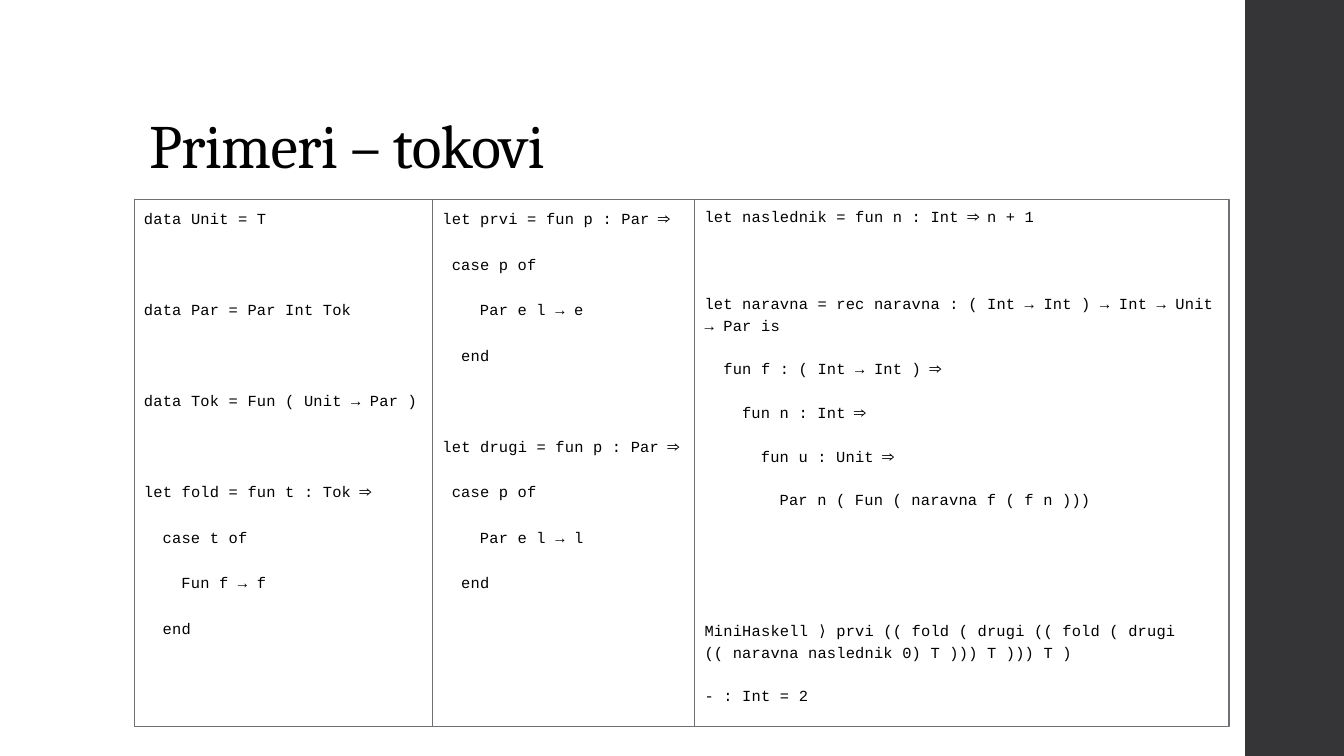
from pptx import Presentation
from pptx.dml.color import RGBColor
from pptx.enum.shapes import MSO_SHAPE
from pptx.enum.text import MSO_ANCHOR, PP_ALIGN
from pptx.util import Inches, Pt

RECTANGLE = MSO_SHAPE.RECTANGLE
TOP = MSO_ANCHOR.TOP
BOTTOM = MSO_ANCHOR.BOTTOM
LEFT = PP_ALIGN.LEFT

BLACK = RGBColor(0x00, 0x00, 0x00)
SIDEBAR_GREY = RGBColor(0x35, 0x35, 0x37)
BORDER_GREY = RGBColor(0x6F, 0x6F, 0x74)

TYPES_CODE = """data Unit = T

data Par = Par Int Tok

data Tok = Fun ( Unit → Par )

let fold = fun t : Tok ⇒
  case t of
    Fun f → f
  end"""

PAIR_CODE = """let prvi = fun p : Par ⇒
 case p of
    Par e l → e
  end

let drugi = fun p : Par ⇒
 case p of
    Par e l → l
  end"""

NATURALS_CODE = """let naslednik = fun n : Int ⇒ n + 1

let naravna = rec naravna : ( Int → Int ) → Int → Unit → Par is
  fun f : ( Int → Int ) ⇒
    fun n : Int ⇒
      fun u : Unit ⇒
        Par n ( Fun ( naravna f ( f n )))


MiniHaskell ⟩ prvi (( fold ( drugi (( fold ( drugi (( naravna naslednik 0) T ))) T ))) T )
- : Int = 2"""


class SlideBuilder:
    title_font = "Cambria"
    code_font = "Courier New"
    code_size = 11
    character_width = 6.7
    line_height = 13.2
    space_before = 14
    space_after = 2

    def __init__(self, slide):
        self.slide = slide

    def style_run(self, run, font_name, size, spacing):
        run.font.name = font_name
        run.font.size = Pt(size)
        run.font.color.rgb = BLACK
        run.font._element.set("spc", str(round(spacing * 100)))

    def rectangle(self, left, top, width, height, fill=None, line=None):
        shape = self.slide.shapes.add_shape(
            RECTANGLE, Inches(left), Inches(top), Inches(width), Inches(height))
        shape.shadow.inherit = False
        if fill is None:
            shape.fill.background()
        else:
            shape.fill.solid()
            shape.fill.fore_color.rgb = fill
        if line is None:
            shape.line.fill.background()
        else:
            shape.line.color.rgb = line
            shape.line.width = Pt(0.75)
        return shape

    def title(self, text, left, top, width, height):
        shape = self.slide.shapes.add_textbox(
            Inches(left), Inches(top), Inches(width), Inches(height))
        text_frame = shape.text_frame
        text_frame.word_wrap = True
        text_frame.vertical_anchor = BOTTOM
        text_frame.text = text
        paragraph = text_frame.paragraphs[0]
        paragraph.line_spacing = 0.9
        self.style_run(paragraph.runs[0], self.title_font, 44, -0.5)

    def code_box(self, code, left, top, width, height, line_spacing):
        shape = self.rectangle(left, top, width, height, line=BORDER_GREY)
        text_frame = shape.text_frame
        text_frame.word_wrap = True
        text_frame.vertical_anchor = TOP
        lines = code.split("\n")
        text_frame.text = "\n".join(line.lstrip() for line in lines if line)
        paragraphs = iter(text_frame.paragraphs)
        pitch = self.line_height * line_spacing + self.space_before + self.space_after
        gap = 0
        for line in lines:
            if not line:
                gap += pitch
                continue
            paragraph = next(paragraphs)
            paragraph.alignment = LEFT
            paragraph.line_spacing = line_spacing
            paragraph.space_before = Pt(round(self.space_before + gap, 1))
            paragraph.space_after = Pt(self.space_after)
            indent = len(line) - len(line.lstrip())
            properties = paragraph._p.get_or_add_pPr()
            properties.set("marL", str(Pt(indent * self.character_width)))
            self.style_run(paragraph.runs[0], self.code_font, self.code_size, 0.1)
            gap = 0


presentation = Presentation()
presentation.slide_width = Inches(13.33)
presentation.slide_height = Inches(7.5)
builder = SlideBuilder(presentation.slides.add_slide(presentation.slide_layouts[6]))

builder.rectangle(12.35, 0, 1, 7.5, fill=SIDEBAR_GREY)
builder.title("Primeri – tokovi", 1.38, 0.4, 10.6, 1.45)

column_left = 1.33
for code, column_width, line_spacing in (
    (TYPES_CODE, 2.96, 1.25),
    (PAIR_CODE, 2.6, 1.25),
    (NATURALS_CODE, 5.3, 1.15),
):
    builder.code_box(code, column_left, 1.98, column_width, 5.23, line_spacing)
    column_left += column_width

presentation.save("out.pptx")
